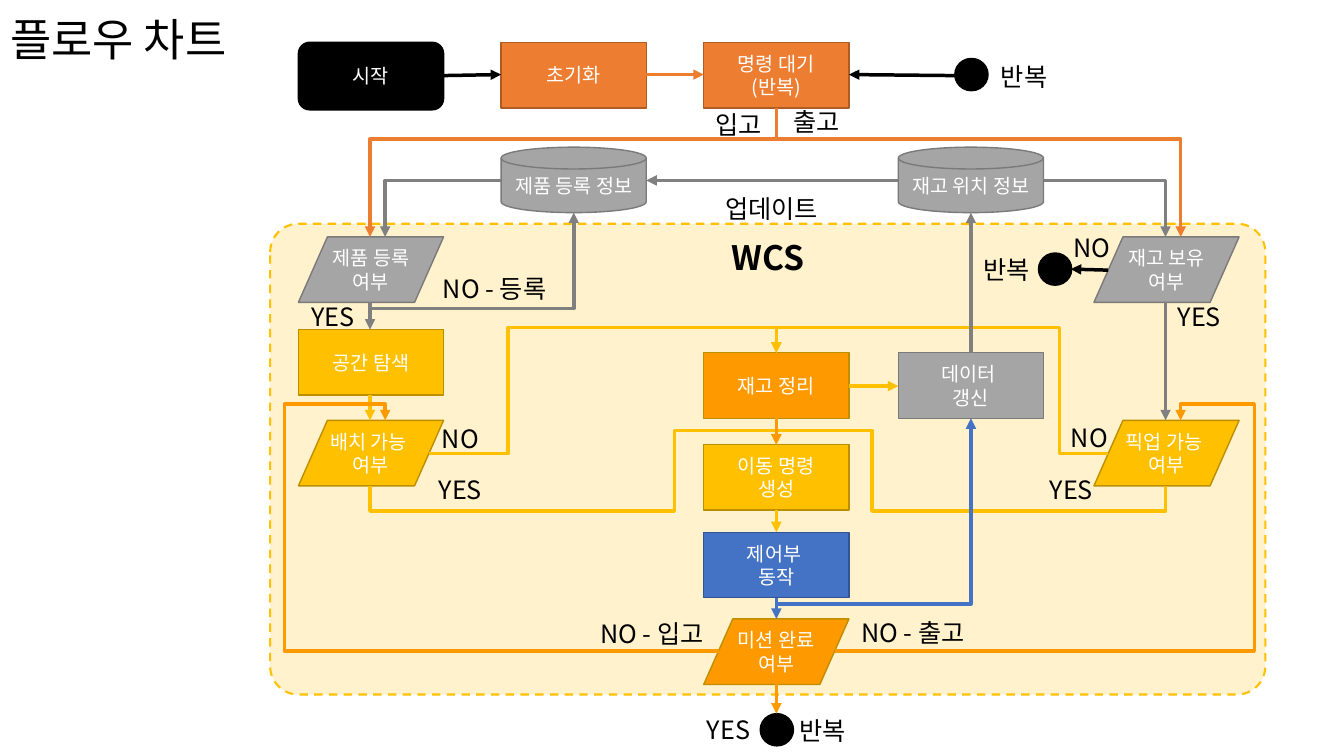
from dataclasses import dataclass
from typing import Any

import lxml.etree
import pptx
import pptx.dml.color
import pptx.enum.dml
import pptx.enum.shapes
import pptx.enum.text
import pptx.oxml.ns
import pptx.util

Inches = pptx.util.Inches
Pt = pptx.util.Pt
qn = pptx.oxml.ns.qn
KIND = pptx.enum.shapes.MSO_SHAPE
LINK = pptx.enum.shapes.MSO_CONNECTOR
ALIGN = pptx.enum.text.PP_ALIGN
ANCHOR = pptx.enum.text.MSO_ANCHOR

FONT = "Noto Sans CJK KR"
BLACK, WHITE, GREY, STEEL = "000000", "FFFFFF", "A5A5A5", "808080"
CORAL, GOLD, AMBER, BLUE = "ED7D31", "FFC000", "FF9900", "4472C4"
EDGE = {BLACK: BLACK, GREY: "7A7A7A", CORAL: "AF5C24",
        GOLD: "BD8E00", AMBER: "BD8E00", BLUE: "325491"}
TIGHT = dict(margin_left=0, margin_right=0, margin_top=0, margin_bottom=0, word_wrap=True)
PLAIN = KIND.FLOWCHART_PROCESS
TEST = KIND.FLOWCHART_DATA
DISK = KIND.FLOWCHART_MAGNETIC_DISK
WIDE, HIGH = 1.44, 0.65
COL1, COL2, COL3, COL4, COL5 = 2.96, 4.97, 6.98, 8.91, 10.85
MID1, MID2, MID3, MID4, MID5 = 3.67, 5.69, 7.7, 9.63, 11.56


@dataclass
class Step:
    text: str
    left: float
    top: float
    fill: str
    kind: Any = PLAIN
    high: float = HIGH


@dataclass
class Route:
    """Arrow with bends; stops hold the x or y of each inner leg in turn."""
    start: tuple[float, float]
    end: tuple[float, float]
    ink: str
    stops: tuple[float, ...] | None = None
    down: bool = False


@dataclass
class Label:
    text: str
    left: float
    top: float
    wide: float = 0.65


STEPS = [
    Step("시작", COL1, 0.42, BLACK, KIND.FLOWCHART_ALTERNATE_PROCESS, 0.67),
    Step("초기화", COL2, 0.42, CORAL),
    Step("명령 대기\n(반복)", COL3, 0.42, CORAL),
    Step("제품 등록 정보", COL2, 1.46, GREY, DISK),
    Step("재고 위치 정보", COL4, 1.46, GREY, DISK),
    Step("제품 등록\n 여부 ", COL1, 2.35, GREY, TEST),
    Step("재고 보유 여부", COL5, 2.35, GREY, TEST),
    Step("공간 탐색", COL1, 3.27, GOLD),
    Step("재고 정리", COL3, 3.5, AMBER),
    Step("데이터 \n갱신", COL4, 3.5, GREY),
    Step("배치 가능 \n여부", COL1, 4.17, GOLD, TEST),
    Step("픽업 가능 \n여부", COL5, 4.17, GOLD, TEST),
    Step("이동 명령\n생성", COL3, 4.41, GOLD),
    Step("제어부 \n동작", COL3, 5.28, BLUE),
    Step("미션 완료\n 여부 ", COL3, 6.14, AMBER, TEST),
]
DOTS = [(7.54, 7.08), (9.47, 0.58), (10.3, 2.51)]
ROUTES = [
    Route((4.39, 0.75), (COL2, 0.74), BLACK),
    Route((6.41, 0.74), (COL3, 0.74), CORAL),
    Route((MID3, 1.07), (MID1, 2.35), CORAL, (1.38,), True),
    Route((MID3, 1.07), (11.71, 2.35), CORAL, (1.38,), True),
    Route((MID1, 3), (MID2, 2.11), STEEL, (3.06,), True),
    Route((MID1, 3), (MID1, 3.27), STEEL),
    Route((MID5, 3), (MID5, 4.17), STEEL),
    Route((MID3, 5.06), (MID3, 5.28), GOLD),
    Route((MID5, 4.82), (MID3, 4.41), GOLD, (5.07, 8.65, 4.27), True),
    Route((MID3, 5.93), (MID4, 4.15), BLUE, (5.99,), True),
    Route((10.99, 4.5), (MID3, 3.5), GOLD, (10.51, 3.25)),
    Route((8.42, 3.83), (COL4, 3.83), GOLD),
    Route((4.25, 4.5), (MID3, 3.5), GOLD, (5.04, 3.25)),
    Route((MID4, 3.5), (MID4, 2.11), STEEL),
    Route((MID1, 4.82), (MID3, 4.41), GOLD, (5.07, 6.69, 4.27), True),
    Route((MID1, 3.92), (MID1, 4.17), GOLD),
    Route((MID3, 4.15), (MID3, 4.41), AMBER),
    Route((COL4, 1.79), (6.41, 1.79), STEEL),
    Route((10.35, 1.79), (MID5, 2.35), STEEL, ()),
    Route((COL2, 1.79), (3.82, 2.35), STEEL, ()),
    Route((MID3, 5.93), (MID3, 6.14), BLUE),
    Route((9.47, 0.75), (8.42, 0.74), BLACK),
    Route((8.28, 6.46), (11.71, 4.17), AMBER, (12.44, 4.01)),
    Route((7.13, 6.46), (3.82, 4.17), AMBER, (2.82, 4.01)),
    Route((10.99, 2.68), (10.62, 2.67), BLACK),
    Route((MID3, 6.79), (MID3, 7.08), AMBER),
]
LABELS = [
    Label("반복 ", 9.86, 0.61), Label("입고", 7, 1.08), Label("출고", 7.77, 1.06),
    Label("업데이트", 7.07, 1.92, 1.17), Label("NO", 10.5, 2.31),
    Label("반복 ", 9.69, 2.52), Label("NO - 등록", 4.28, 2.71, 1.25),
    Label("YES", 2.98, 2.99), Label("YES", 11.57, 2.99),
    Label("NO", 4.24, 4.2), Label("NO", 10.48, 4.19),
    Label("YES", 4.24, 4.71), Label("YES", 10.3, 4.71),
    Label("NO - 입고", 5.83, 6.13, 1.27), Label("NO - 출고", 8.42, 6.12, 1.27),
    Label("YES", 6.9, 7.09), Label("반복 ", 7.86, 7.1),
]


def tint(code: str) -> pptx.dml.color.RGBColor:
    return pptx.dml.color.RGBColor.from_string(code)


def format_all(item: Any, **values: Any) -> None:
    for name, value in values.items():
        setattr(item, name, value)


def write(frame: Any, text: str, size: float, ink: str, bold: bool = False,
          **para: Any) -> None:
    frame.text = text
    for part in frame.paragraphs:
        format_all(part, **para)
        for run in part.runs:
            format_all(run.font, name=FONT, size=Pt(size), bold=bold)
            run.font.color.rgb = tint(ink)
            east = lxml.etree.SubElement(run.font._element, qn("a:ea"))
            east.set("typeface", FONT)


def add_box(slide: Any, kind: Any, box: tuple[float, ...], fill: str, edge: str,
            width: float = 1) -> Any:
    shape = slide.shapes.add_shape(kind, *map(Inches, box))
    shape.shadow.inherit = False
    shape.fill.solid()
    shape.fill.fore_color.rgb = tint(fill)
    shape.line.color.rgb = tint(edge)
    shape.line.width = Pt(width)
    return shape


def bend(link: Any, route: Route) -> None:
    """Set frame, turn and bends; a downward start is laid out turned by 90 degrees."""
    (x1, y1), (x2, y2) = route.start, route.end
    along, cross = (y2 - y1, x1 - x2) if route.down else (x2 - x1, y2 - y1)
    if route.down:
        turn, flip_h, flip_v = 90, along < 0, cross < 0
        if flip_v and not flip_h:
            turn, flip_h, flip_v = 270, True, False
    else:
        turn, flip_h = (180 if along < 0 else 0), False
        flip_v = (along < 0) != (cross < 0)
    wide, high = abs(along), abs(cross)
    format_all(link, left=Inches((x1 + x2 - wide) / 2), top=Inches((y1 + y2 - high) / 2),
               width=Inches(wide), height=Inches(high))
    frame = link.element.spPr.find(qn("a:xfrm"))
    for name, value in dict(rot=turn * 60000, flipH=int(flip_h), flipV=int(flip_v)).items():
        frame.set(name, str(value))
    geom = link.element.spPr.find(qn("a:prstGeom"))
    geom.set("prst", f"bentConnector{len(route.stops) + 2}")
    guides = geom.find(qn("a:avLst"))
    for num, stop in enumerate(route.stops):
        axis = (num + route.down) % 2
        first, last = route.start[axis], route.end[axis]
        share = round((stop - first) / (last - first) * 100000)
        guide = lxml.etree.SubElement(guides, qn("a:gd"))
        guide.set("name", f"adj{num + 1}")
        guide.set("fmla", f"val {share}")


def add_route(slide: Any, route: Route) -> None:
    kind = LINK.STRAIGHT if route.stops is None else LINK.ELBOW
    link = slide.shapes.add_connector(kind, *map(Inches, route.start + route.end))
    if route.stops is not None:
        bend(link, route)
    link.line.color.rgb = tint(route.ink)
    link.line.width = Pt(2.5)
    props = link.element.spPr
    lxml.etree.SubElement(props.find(qn("a:ln")), qn("a:tailEnd")).set("type", "triangle")
    lxml.etree.SubElement(props, qn("a:effectLst"))


def main() -> None:
    deck = pptx.Presentation()
    format_all(deck, slide_width=Inches(13.33), slide_height=Inches(7.5))
    slide = deck.slides.add_slide(deck.slide_layouts[5])
    title = slide.shapes.title
    format_all(title, left=Inches(0), top=Inches(0.01), width=Inches(2.69), height=Inches(0.81))
    format_all(title.text_frame, vertical_anchor=ANCHOR.MIDDLE, word_wrap=True,
               auto_size=pptx.enum.text.MSO_AUTO_SIZE.NONE)
    write(title.text_frame, "플로우 차트", 32, BLACK, alignment=ALIGN.LEFT, line_spacing=0.9)

    zone = add_box(slide, KIND.ROUNDED_RECTANGLE, (2.68, 2.22, 9.87, 4.67), "FFF2CC", GOLD, 1.5)
    zone.adjustments[0] = 0.06
    zone.line.dash_style = pptx.enum.dml.MSO_LINE.DASH
    zone.text_frame.vertical_anchor = ANCHOR.TOP
    write(zone.text_frame, "WCS", 24, BLACK, True, alignment=ALIGN.CENTER)

    for step in STEPS:
        box = (step.left, step.top, WIDE, step.high)
        shape = add_box(slide, step.kind, box, step.fill, EDGE[step.fill])
        format_all(shape.text_frame, vertical_anchor=ANCHOR.MIDDLE, **TIGHT)
        write(shape.text_frame, step.text, 14, WHITE, alignment=ALIGN.CENTER)
    for left, top in DOTS:
        add_box(slide, KIND.FLOWCHART_CONNECTOR, (left, top, 0.33, 0.32), BLACK, BLACK)
    for route in ROUTES:
        add_route(slide, route)
    for label in LABELS:
        spot = map(Inches, (label.left, label.top, label.wide, 0.3))
        frame = slide.shapes.add_textbox(*spot).text_frame
        format_all(frame, **TIGHT)
        write(frame, label.text, 18, BLACK, alignment=ALIGN.CENTER)
    deck.save("out.pptx")


if __name__ == "__main__":
    main()
